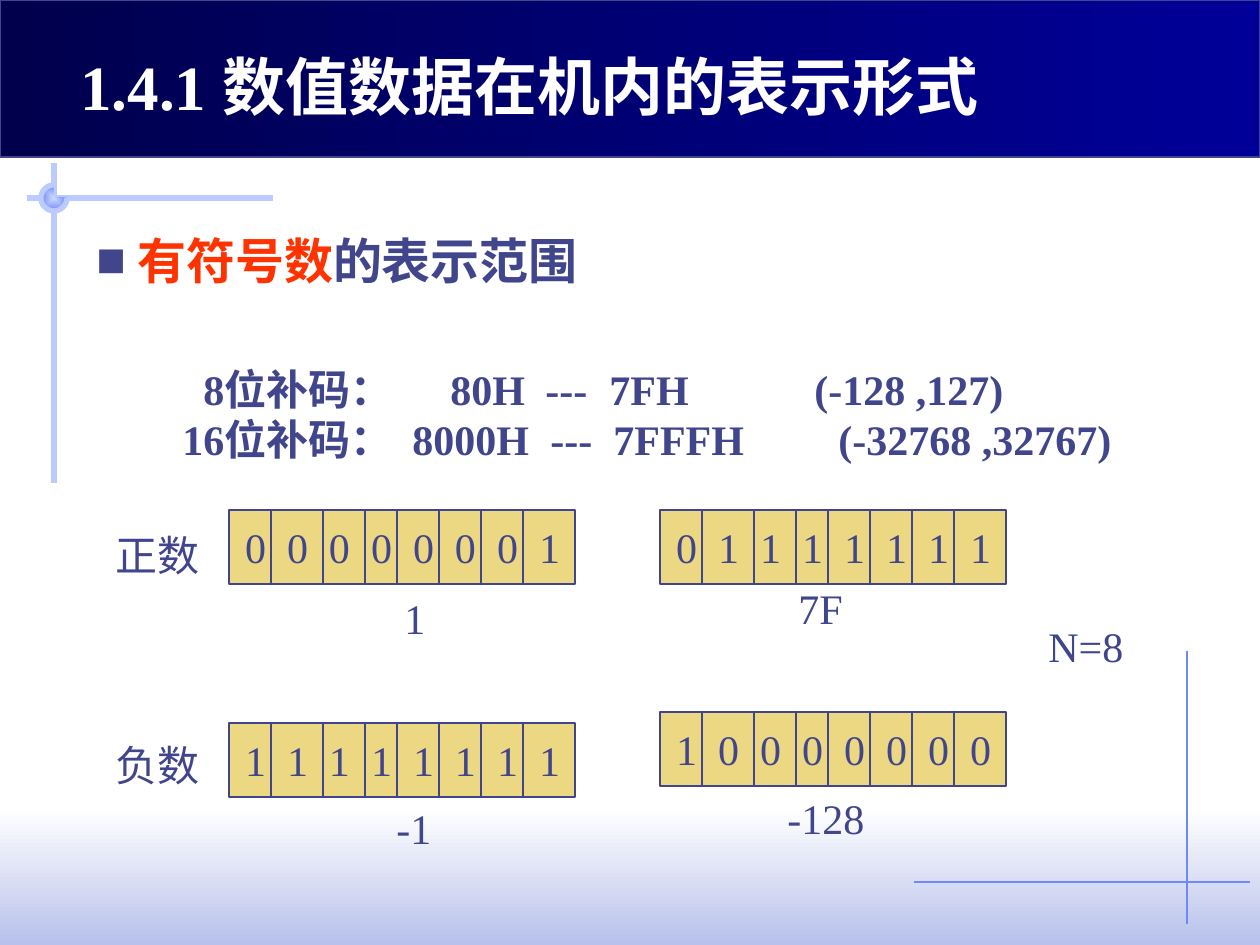
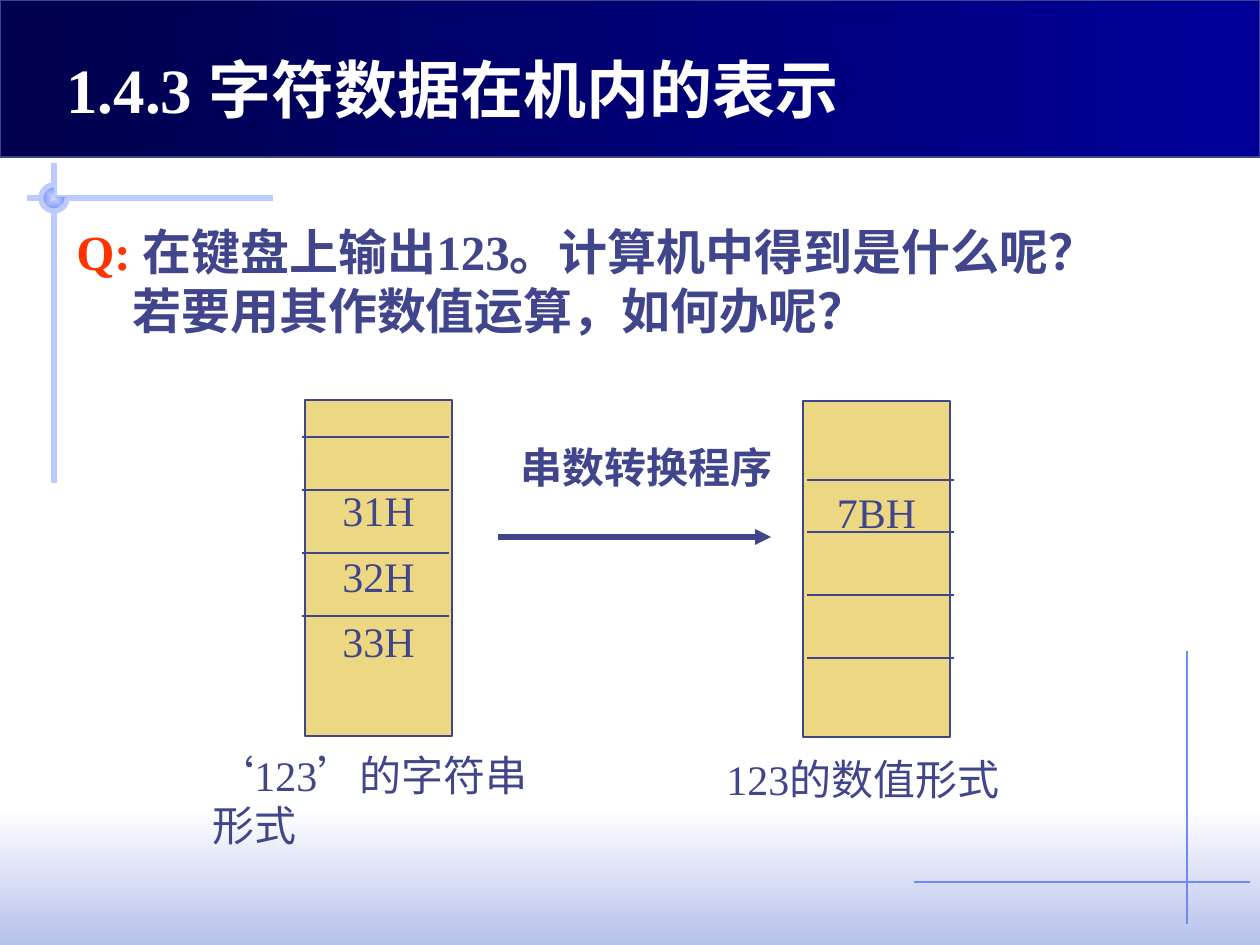
import math
from dataclasses import dataclass, field
from typing import Any, NamedTuple

import pptx
import pptx.dml.color
import pptx.enum.shapes
import pptx.enum.text
import pptx.oxml
import pptx.oxml.ns
import pptx.shapes.autoshape
import pptx.slide
import pptx.util

RGBColor = pptx.dml.color.RGBColor
Pt = pptx.util.Pt
Anchor = pptx.enum.text.MSO_ANCHOR
Align = pptx.enum.text.PP_ALIGN
Fit = pptx.enum.text.MSO_AUTO_SIZE
qn = pptx.oxml.ns.qn

INK = RGBColor(0x40, 0x45, 0x8C)
RED = RGBColor(0xFF, 0x33, 0x00)
WHITE = RGBColor(0xFF, 0xFF, 0xFF)
GOLD = RGBColor(0xEC, 0xD8, 0x82)
NIGHT = RGBColor(0x00, 0x00, 0x4D)
NAVY = RGBColor(0x00, 0x00, 0x99)
MIST = RGBColor(0xB7, 0xC1, 0xEB)
PALE = RGBColor(0xCF, 0xDB, 0xFD)
SKY = RGBColor(0xBB, 0xCB, 0xFD)
BLUE = RGBColor(0x6F, 0x89, 0xF7)

FONT = "Times New Roman"
SCALE = 914400 / 126
WIDE, HIGH = 1260, 945
BIT_EDGES = (42, 94, 136, 168, 210, 252, 294)
BIT_STEP = 42
ROW_STEP = 65


class Box(NamedTuple):
    left: int
    top: int
    width: int
    height: int


class Run(NamedTuple):
    text: str
    color: RGBColor = INK


@dataclass
class Para:
    runs: list[Run]
    tabs: tuple[int, ...] = ()
    indent: int = 0
    bullet: str = ""
    style: dict[str, Any] = field(default_factory=dict)


class Label(NamedTuple):
    text: str
    box: Box
    bold: bool = False
    wrap: bool = False


class Word(NamedTuple):
    """One byte drawn as a row of bits."""
    bits: str
    left: int
    top: int


class Store(NamedTuple):
    """A column of memory cells."""
    rows: list[str]
    box: Box
    rule_left: int
    rules: tuple[int, ...]


def px(size: float) -> int:
    return round(size * SCALE)


def put(item: Any, values: dict[str, Any]) -> None:
    for name, value in values.items():
        setattr(item, name, value)


def node(tag: str, attrs: str = "", inner: str = "") -> Any:
    space = pptx.oxml.ns.nsdecls("a")
    return pptx.oxml.parse_xml(f"<a:{tag} {space} {attrs}>{inner}</a:{tag}>")


def write(frame: Any, paras: list[Para], size: int, bold: bool) -> None:
    for index, para in enumerate(paras):
        line = frame.add_paragraph() if index else frame.paragraphs[0]
        props = line._p.get_or_add_pPr()
        if para.indent:
            props.set("marL", str(px(para.indent)))
        if para.bullet:
            props.set("indent", str(-px(para.indent)))
            props.append(node("buClr", "", f'<a:srgbClr val="{INK}"/>'))
            props.append(node("buFont", f'typeface="{FONT}"'))
            props.append(node("buChar", f'char="{para.bullet}"'))
        if para.tabs:
            stops = "".join(f'<a:tab pos="{px(x)}" algn="l"/>' for x in para.tabs)
            props.append(node("tabLst", "", stops))
        put(line, para.style)
        for part in para.runs:
            run = line.add_run()
            run.text = part.text
            put(run.font, {"name": FONT, "size": Pt(size), "bold": bold})
            run.font.color.rgb = part.color


def add_text(slide: pptx.slide.Slide, box: Box, paras: list[Para],
             size: int = 24, bold: bool = False, wrap: bool = False) -> None:
    frame = slide.shapes.add_textbox(*map(px, box)).text_frame
    put(frame, {"word_wrap": wrap, "auto_size": Fit.SHAPE_TO_FIT_TEXT})
    write(frame, paras, size, bold)


def add_label(slide: pptx.slide.Slide, label: Label) -> None:
    add_text(slide, label.box, [Para([Run(label.text)])],
             bold=label.bold, wrap=label.wrap)


def add_rect(slide: pptx.slide.Slide, box: Box) -> pptx.shapes.autoshape.Shape:
    shape = slide.shapes.add_shape(
        pptx.enum.shapes.MSO_SHAPE.RECTANGLE, *map(px, box))
    shape.shadow.inherit = False
    put(shape.line, {"width": Pt(0.75)})
    shape.line.color.rgb = INK
    return shape


def add_cell(slide: pptx.slide.Slide, box: Box, paras: list[Para],
             margins: dict[str, int]) -> None:
    """Draw a gold box with text held in its middle."""
    shape = add_rect(slide, box)
    shape.fill.solid()
    shape.fill.fore_color.rgb = GOLD
    values = {"word_wrap": True, "vertical_anchor": Anchor.MIDDLE}
    values.update({f"margin_{side}": px(gap) for side, gap in margins.items()})
    put(shape.text_frame, values)
    write(shape.text_frame, paras, 24, False)


def add_line(slide: pptx.slide.Slide, start: tuple[int, int], end: tuple[int, int],
             color: RGBColor = INK, width: float = 0.75, arrow: bool = False) -> None:
    line = slide.shapes.add_connector(
        pptx.enum.shapes.MSO_CONNECTOR.STRAIGHT, *map(px, start + end))
    line.line.width = Pt(width)
    line.line.color.rgb = color
    props = line._element.spPr
    if arrow:
        props.find(qn("a:ln")).append(node("tailEnd", 'type="triangle"'))
    props.append(node("effectLst"))


def blend(shape: pptx.shapes.autoshape.Shape, first: RGBColor, last: RGBColor,
          angle: int = 0) -> None:
    shape.fill.gradient()
    shape.fill.gradient_angle = angle
    for stop, color in zip(shape.fill.gradient_stops, (first, last)):
        stop.color.rgb = color


def add_orb(slide: pptx.slide.Slide) -> None:
    """Draw three quarters of a disc and the ring around it."""
    mid_x, mid_y, radius = 54, 198, 13
    turns = [math.radians(angle) for angle in range(-90, -361, -10)]
    arc = [(px(mid_x + radius * math.cos(turn)), px(mid_y + radius * math.sin(turn)))
           for turn in turns]
    hub = (px(mid_x), px(mid_y))
    for ring in (False, True):
        pen = slide.shapes.build_freeform(*arc[0])
        pen.add_line_segments(arc[1:] if ring else arc[1:] + [hub], close=not ring)
        shape = pen.convert_to_shape()
        shape.shadow.inherit = False
        if ring:
            shape.fill.background()
            shape.line.width = Pt(3)
            shape.line.color.rgb = SKY
        else:
            blend(shape, PALE, BLUE)
            grad = shape._element.spPr.find(qn("a:gradFill"))
            grad.replace(grad.find(qn("a:lin")), node(
                "path", 'path="rect"',
                '<a:fillToRect l="50000" t="50000" r="50000" b="50000"/>'))
            shape.line.fill.background()


def add_base(deck: Any, title: str, box: Box) -> pptx.slide.Slide:
    """Add a slide with the bands, cross lines and title all slides share."""
    slide = deck.slides.add_slide(deck.slide_layouts[6])
    foot = add_rect(slide, Box(0, 809, WIDE, 136))
    blend(foot, WHITE, MIST, 270)
    foot.line.fill.background()
    add_line(slide, (1187, 651), (1187, 924), BLUE)
    add_line(slide, (273, 198), (27, 198), SKY, 3)
    add_line(slide, (54, 163), (54, 483), SKY, 3)
    add_orb(slide)
    blend(add_rect(slide, Box(0, 0, WIDE, 157)), NIGHT, NAVY)
    add_line(slide, (914, 882), (1250, 882), BLUE)
    add_text(slide, box, [Para([Run(title, WHITE)])], 36, True, True)
    return slide


def add_word(slide: pptx.slide.Slide, word: Word) -> None:
    box = Box(word.left, word.top, 346, 74)
    tabs = tuple(BIT_STEP * count for count in range(1, len(word.bits)))
    para = Para([Run("\t".join(word.bits))], tabs, style={"alignment": Align.LEFT})
    add_cell(slide, box, [para], {"left": 16, "right": 0})
    for edge in BIT_EDGES:
        x = box.left + edge
        add_line(slide, (x, box.top), (x, box.top + box.height))


def add_store(slide: pptx.slide.Slide, store: Store) -> None:
    style = {"alignment": Align.CENTER, "line_spacing": 1.3}
    paras = [Para([Run(row)], style=style) for row in store.rows]
    free = 3 - len(store.rows)
    add_cell(slide, store.box, paras, {"bottom": 6 + free * ROW_STEP})
    for y in store.rules:
        add_line(slide, (store.rule_left, y), (store.rule_left + 147, y))


def add_range(deck: Any) -> None:
    slide = add_base(deck, "1.4.1 数值数据在机内的表示形式", Box(68, 41, 960, 88))
    head = Para([Run("有符号数", RED), Run("的表示范围")], indent=41, bullet="■")
    add_text(slide, Box(84, 224, 530, 72), [head], 28, True, True)
    ranges = [
        Para([Run("\t8位补码：\t80H\t---\t7FH\t(-128 ,127)")],
             (21, 268, 363, 427, 632)),
        Para([Run("16位补码：\t8000H\t---\t7FFFH\t(-32768 ,32767)")],
             (230, 368, 431, 656)),
    ]
    add_text(slide, Box(170, 357, 966, 113), ranges, 24, True, True)
    for word in (Word("01111111", 660, 510), Word("00000001", 229, 510),
                 Word("11111111", 229, 723), Word("10000000", 660, 712)):
        add_word(slide, word)
    for label in (Label("正数", Box(103, 523, 120, 63), wrap=True),
                  Label("负数", Box(103, 733, 120, 63), wrap=True),
                  Label("1", Box(392, 586, 50, 63), wrap=True),
                  Label("7F", Box(786, 576, 80, 63), wrap=True),
                  Label("-1", Box(384, 796, 70, 63), wrap=True),
                  Label("-128", Box(775, 786, 115, 63), wrap=True),
                  Label("N=8", Box(1036, 614, 115, 63), wrap=True)):
        add_label(slide, label)


def add_chars(deck: Any) -> None:
    slide = add_base(deck, "1.4.3 字符数据在机内的表示", Box(54, 44, 925, 88))
    asks = [
        Para([Run("Q: ", RED), Run("在键盘上输出123。计算机中得到是什么呢？")]),
        Para([Run("若要用其作数值运算，如何办呢？")], indent=56),
    ]
    add_text(slide, Box(64, 215, 1101, 131), asks, 28, True, True)
    add_store(slide, Store(["31H", "32H", "33H"], Box(305, 400, 147, 336),
                           302, (437, 490, 553, 616)))
    add_store(slide, Store(["7BH"], Box(803, 401, 147, 336),
                           807, (480, 532, 595, 658)))
    add_line(slide, (498, 537), (771, 537), INK, 3, True)
    for label in (Label("‘123’的字符串形式", Box(200, 743, 365, 63), wrap=True),
                  Label("123的数值形式", Box(714, 747, 325, 63), wrap=True),
                  Label("串数转换程序", Box(508, 435, 290, 63), True, True)):
        add_label(slide, label)


def main() -> None:
    deck = pptx.Presentation()
    put(deck, {"slide_width": px(WIDE), "slide_height": px(HIGH)})
    add_range(deck)
    add_chars(deck)
    deck.save("out.pptx")


if __name__ == "__main__":
    main()
